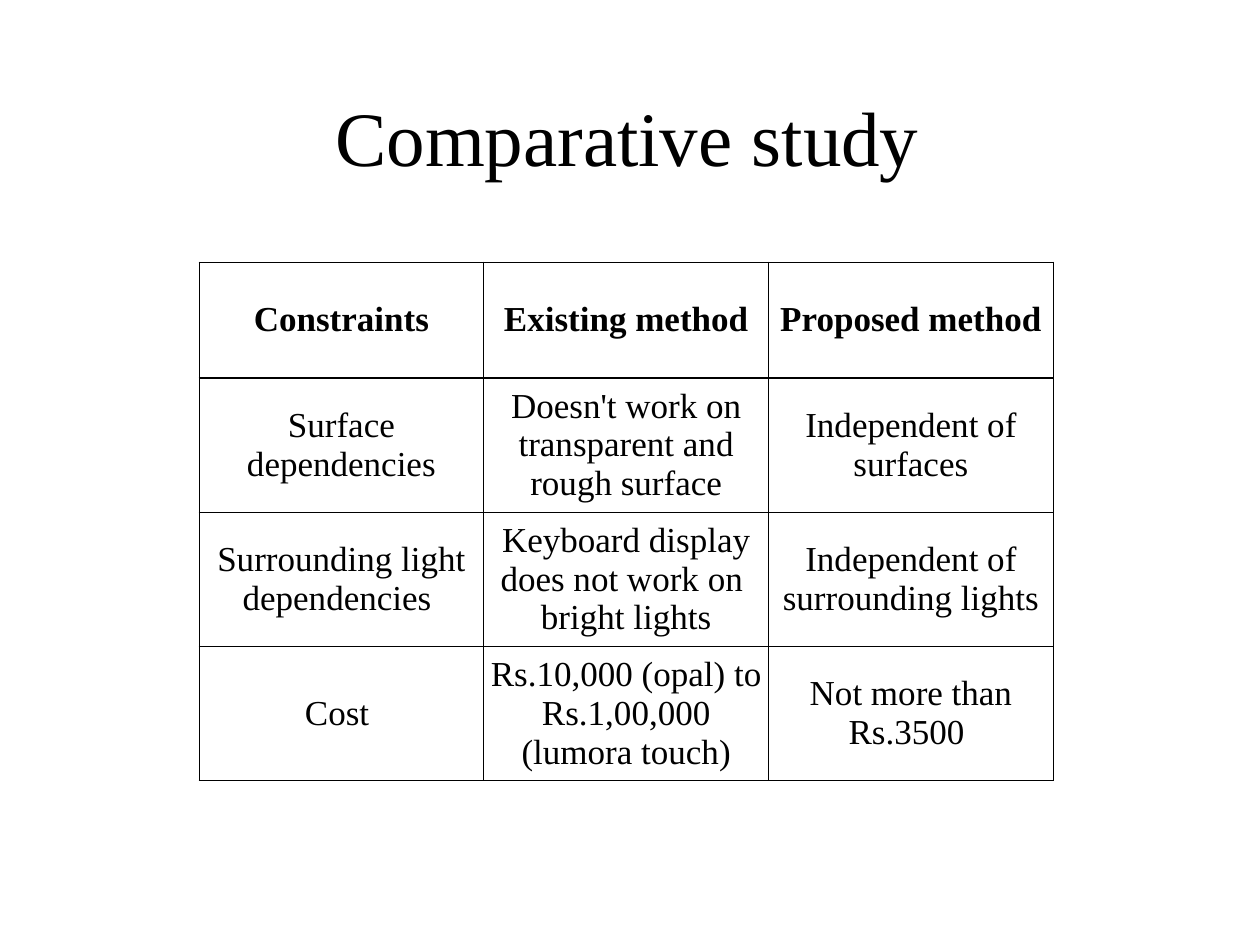
from lxml import etree
from pptx import Presentation
from pptx.dml.color import RGBColor
from pptx.enum.text import MSO_ANCHOR, PP_ALIGN
from pptx.oxml.ns import qn
from pptx.util import Inches, Pt

MIDDLE = MSO_ANCHOR.MIDDLE
CENTER = PP_ALIGN.CENTER
TITLE_ONLY = 5
FONT = "Times New Roman"
INK = "000000"
PLAIN_STYLE = "{2D5ABB26-0587-4C30-8999-92F81FD0307C}"
ROWS = [
    ["Constraints", "Existing method", "Proposed method"],
    ["Surface dependencies", "Doesn't work on transparent and rough surface",
     "Independent of surfaces"],
    ["Surrounding light dependencies ",
     "Keyboard display does not work on  bright lights",
     "Independent of surrounding lights"],
    ["Cost ", "Rs.10,000 (opal) to Rs.1,00,000 (lumora touch)",
     "Not more than Rs.3500 "],
]
ROW_HEIGHTS = [0.92, 1.06, 1.06, 1.06]


def color(value):
    """Return the colour for a hex string."""
    return RGBColor.from_string(value)


def format_text(frame, size, bold=False):
    """Centre the text of a frame and set its font."""
    for para in frame.paragraphs:
        para.alignment = CENTER
        for span in para.runs:
            span.font.name = FONT
            span.font.size = Pt(size)
            span.font.bold = bold
            span.font.color.rgb = color(INK)


def add_borders(cell, width=0.75):
    """Draw a solid line on each side of a cell."""
    properties = cell._tc.get_or_add_tcPr()
    for position, side in enumerate(("lnL", "lnR", "lnT", "lnB")):
        line = etree.Element(qn(f"a:{side}"), w=str(Pt(width)))
        fill = etree.SubElement(line, qn("a:solidFill"))
        etree.SubElement(fill, qn("a:srgbClr"), val=INK)
        properties.insert(position, line)


def add_title(page, text, left, top, width, height):
    """Place and format the slide title."""
    title = page.shapes.title
    title.left, title.top = Inches(left), Inches(top)
    title.width, title.height = Inches(width), Inches(height)
    title.text_frame.text = text
    title.text_frame.vertical_anchor = MIDDLE
    format_text(title.text_frame, 44)


def fill_cell(cell, text, bold):
    """Write one table cell with its margins and borders."""
    cell.text_frame.text = text
    cell.vertical_anchor = MIDDLE
    cell.margin_left = cell.margin_right = Inches(0.05)
    cell.margin_top = cell.margin_bottom = Inches(0.07)
    cell.fill.background()
    format_text(cell.text_frame, 20, bold)
    add_borders(cell)


def add_comparison(page, rows, left, top, width):
    """Add the comparison table with equal columns."""
    frame = page.shapes.add_table(
        len(rows), len(rows[0]), Inches(left), Inches(top),
        Inches(width), Inches(sum(ROW_HEIGHTS)))
    table = frame.table
    table.first_row = table.horz_banding = False
    table._tbl.tblPr.find(qn("a:tableStyleId")).text = PLAIN_STYLE
    for column in table.columns:
        column.width = Inches(width / len(rows[0]))
    for row_index, (texts, height) in enumerate(zip(rows, ROW_HEIGHTS)):
        table.rows[row_index].height = Inches(height)
        for column_index, text in enumerate(texts):
            fill_cell(table.cell(row_index, column_index), text, row_index == 0)


def main():
    """Build and save the slide."""
    deck = Presentation()
    deck.slide_width, deck.slide_height = Inches(10), Inches(7.5)
    page = deck.slides.add_slide(deck.slide_layouts[TITLE_ONLY])
    add_title(page, "Comparative study", 1.17, 0.42, 7.62, 1.31)
    add_comparison(page, ROWS, 1.58, 2.08, 6.78)
    deck.save("out.pptx")


if __name__ == "__main__":
    main()
